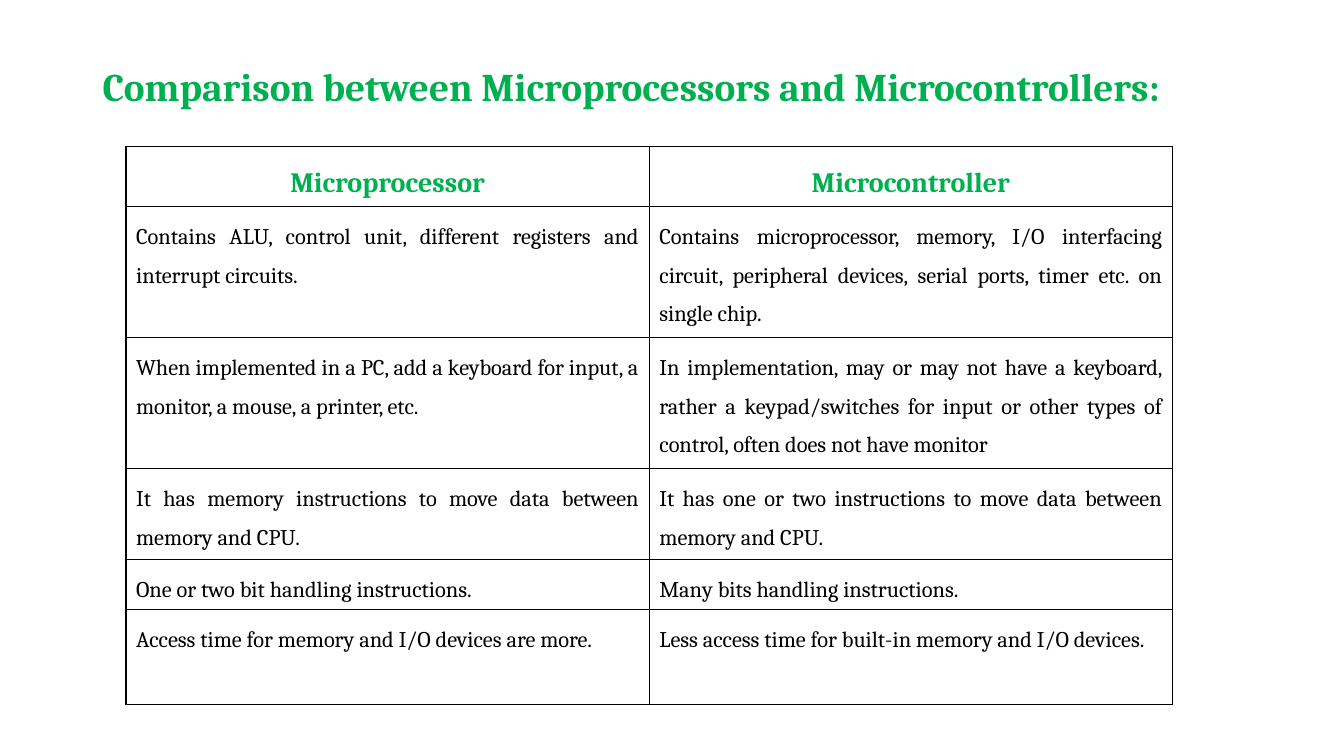
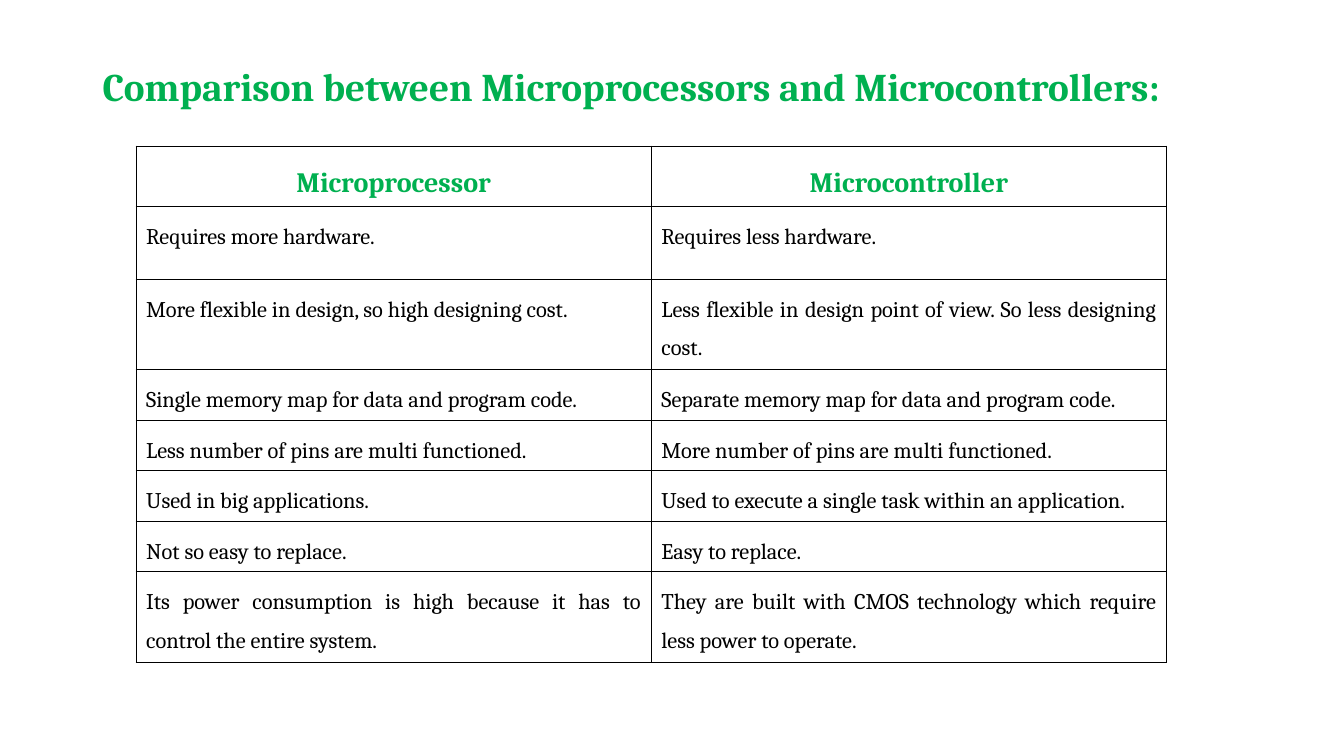
from lxml import etree
from pptx import Presentation
from pptx import util as u
from pptx.dml import color
from pptx.enum import text
from pptx.oxml import ns

W, H = 13.33, 7.5
FONT = "Cambria"
GREEN, BLACK, WHITE = "00B050", "000000", "FFFFFF"
TITLE = "Comparison between Microprocessors and Microcontrollers:"
HEADER = ("Microprocessor", "Microcontroller")
TABLE_TOP = 1.45

HARDWARE = [
    (0.42, HEADER),
    (1.18, ("Contains ALU, control unit, different registers and interrupt circuits.",
            "Contains microprocessor, memory, I/O interfacing circuit, peripheral devices, "
            "serial ports, timer etc. on single chip.")),
    (1.18, ("When implemented in a PC, add a keyboard for input, a monitor, a mouse, a printer, etc.",
            "In implementation, may or may not have a keyboard, rather a keypad/switches for input "
            "or other types of control, often does not have monitor")),
    (0.8, ("It has memory instructions to move data between memory and CPU.",
           "It has one or two instructions to move data between memory and CPU.")),
    (0.42, ("One or two bit handling instructions.", "Many bits handling instructions.")),
    (0.94, ("Access time for memory and I/O devices are more.",
            "Less access time for built-in memory and I/O devices.")),
]

DESIGN = [
    (0.41, HEADER),
    (0.72, ("Requires more hardware.", "Requires less hardware.")),
    (0.72, ("More flexible in design, so high designing cost.",
            "Less flexible in design point of view. So less designing cost.")),
    (0.41, ("Single memory map for data and program code.",
            "Separate memory map for data and program code.")),
    (0.41, ("Less number of pins are multi functioned.", "More number of pins are multi functioned.")),
    (0.41, ("Used in big applications.", "Used to execute a single task within an application.")),
    (0.41, ("Not so easy to replace.", "Easy to replace.")),
    (0.81, ("Its power consumption is high because it has to control the entire system.",
            "They are built with CMOS technology which require less power to operate.")),
]


def rgb(value):
    return color.RGBColor.from_string(value)


def write(tf, content, size=16, fill=BLACK, bold=False, align=text.PP_ALIGN.JUSTIFY, spacing=1.5):
    p = tf.paragraphs[0]
    p.alignment = align
    p.line_spacing = spacing
    r = p.add_run()
    r.text = content
    r.font.name = FONT
    r.font.size = u.Pt(size)
    r.font.bold = bold
    r.font.color.rgb = rgb(fill)


def add_title(s):
    sp = s.shapes.add_textbox(u.Inches(0.92), u.Inches(0.4), u.Inches(11.5), u.Inches(0.97))
    tf = sp.text_frame
    tf.word_wrap = True
    tf.vertical_anchor = text.MSO_ANCHOR.MIDDLE
    write(tf, TITLE, size=28, fill=GREEN, bold=True, spacing=0.9)


def outline(cell, line=BLACK, width=1):
    tc_pr = cell._tc.get_or_add_tcPr()
    for side in ("a:lnL", "a:lnR", "a:lnT", "a:lnB"):
        ln = etree.SubElement(tc_pr, ns.qn(side), w=str(u.Pt(width)))
        solid = etree.SubElement(ln, ns.qn("a:solidFill"))
        etree.SubElement(solid, ns.qn("a:srgbClr"), val=line)


def add_comparison(s, rows, left, col_width):
    cols = len(HEADER)
    height = sum(h for h, _ in rows)
    table = s.shapes.add_table(len(rows), cols, u.Inches(left), u.Inches(TABLE_TOP),
                               u.Inches(cols * col_width), u.Inches(height)).table
    for col in table.columns:
        col.width = u.Inches(col_width)
    for i, (h, entries) in enumerate(rows):
        table.rows[i].height = u.Inches(h)
        style = {} if i else dict(size=20, fill=GREEN, bold=True, align=text.PP_ALIGN.CENTER)
        for j, entry in enumerate(entries):
            cell = table.cell(i, j)
            outline(cell)
            cell.fill.solid()
            cell.fill.fore_color.rgb = rgb(WHITE)
            write(cell.text_frame, entry, **style)


def main():
    prs = Presentation()
    prs.slide_width, prs.slide_height = u.Inches(W), u.Inches(H)
    for rows, left, col_width in ((HARDWARE, 1.25, 5.19), (DESIGN, 1.35, 5.11)):
        s = prs.slides.add_slide(prs.slide_layouts[6])
        add_title(s)
        add_comparison(s, rows, left, col_width)
    prs.save("out.pptx")


if __name__ == "__main__":
    main()
